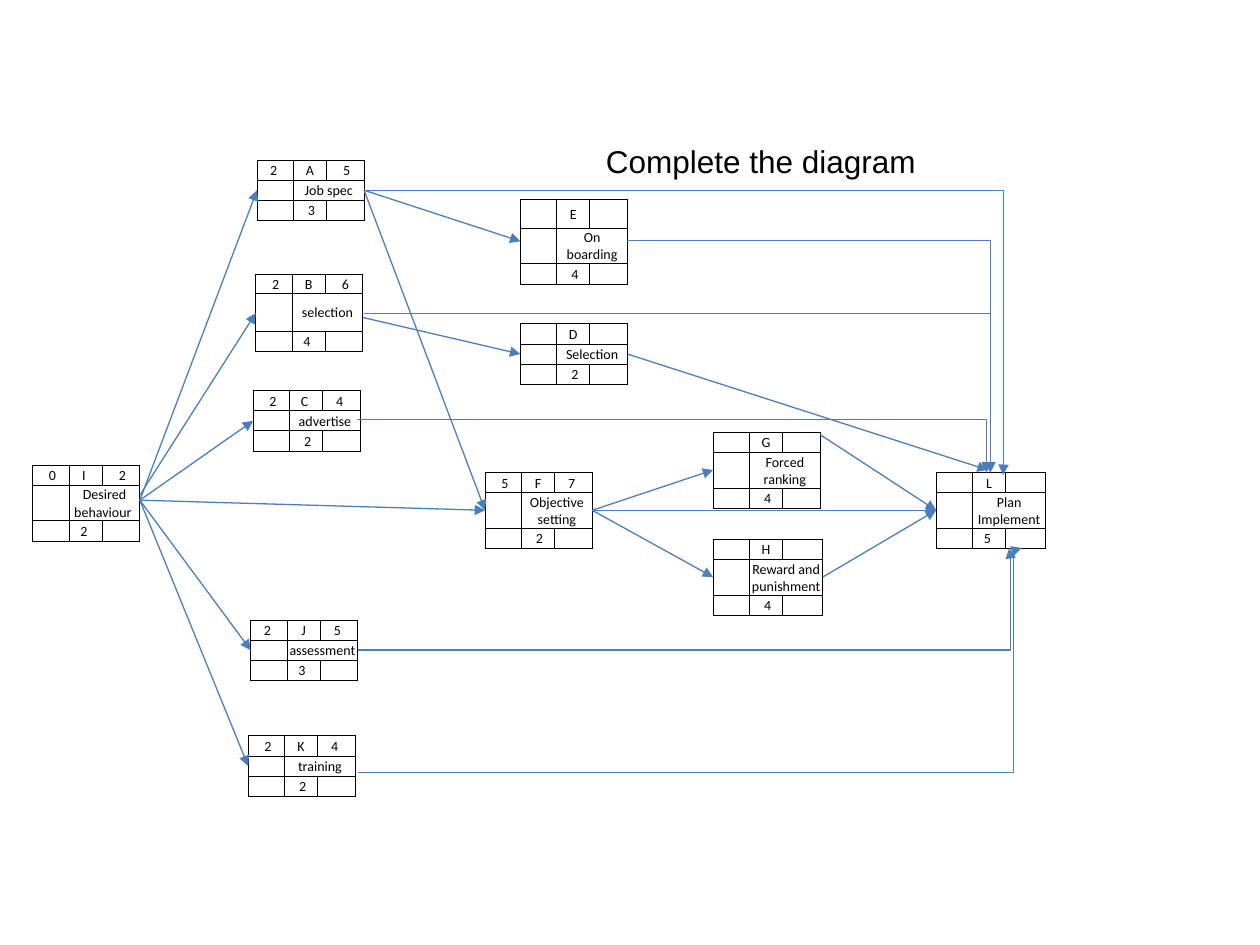
import pptx
import pptx.util
import pptx.dml.color
import pptx.enum.shapes
import pptx.enum.text
import pptx.oxml
import pptx.oxml.ns
from lxml import etree

Inches = pptx.util.Inches
Pt = pptx.util.Pt
qn = pptx.oxml.ns.qn

COLORS = {"text": "000000", "border": "000000", "arrow": "4B7EBC"}
TITLE = "Complete the diagram"

ONE_LINE = (0.16, 0.16, 0.16)
TWO_LINES = (0.16, 0.28, 0.16)
NARROW = (0.29, 0.26, 0.3)
WIDE = (0.29, 0.26, 0.32)

ACTIVITIES = {
    "I": (0.26, 3.69, NARROW, TWO_LINES, (" 0", "I ", " 2"), "Desired behaviour ", "2 "),
    "A": (2.04, 1.27, NARROW, ONE_LINE, ("2 ", "A", " 5"), "Job spec", " 3"),
    "B": (2.03, 2.18, NARROW, (0.15, 0.3, 0.16), (" 2", "B", " 6"), "selection", "4 "),
    "C": (2.01, 3.1, NARROW, ONE_LINE, (" 2", "C ", "4 "), "advertise", " 2"),
    "F": (3.85, 3.75, NARROW, TWO_LINES, (" 5", "F", "7 "), "Objective setting", " 2"),
    "J": (1.99, 4.92, NARROW, ONE_LINE, ("2 ", "J", "5 "), "assessment", "3 "),
    "K": (1.97, 5.84, NARROW, ONE_LINE, (" 2", "K", "4 "), "training", " 2"),
    "H": (5.66, 4.28, WIDE, TWO_LINES, ("", "H", ""), "Reward and punishment", " 4"),
    "G": (5.66, 3.43, NARROW, TWO_LINES, ("", "G", ""), "Forced ranking", " 4"),
    "L": (7.43, 3.75, WIDE, TWO_LINES, ("", "L", ""), "Plan Implement", "5 "),
    "E": (4.13, 1.58, NARROW, (0.23, 0.28, 0.16), ("", "E", ""), "On boarding", " 4"),
    "D": (4.13, 2.57, NARROW, ONE_LINE, ("", "D", ""), "Selection", " 2"),
}

STRAIGHT_LINKS = ["IA", "IB", "IC", "IF", "IJ", "IK", "AF", "FG", "FH",
                  "GL", "HL", "FL", "AE", "BD", "DL"]
EXIT_HEIGHTS = {"I": 3.97, "IB": 3.93, "GL": 3.45, "BD": 2.52}
ENTRY_POINTS = {"DL": (7.84, 3.73)}

BENT_LINKS = [
    ((2.89, 1.51), (7.96, 3.77), 1.001),
    ((2.89, 2.49), (7.86, 3.75), None),
    ((2.83, 3.33), (7.83, 3.75), None),
    ((2.84, 5.16), (8.01, 4.35), 1.002),
    ((2.84, 6.13), (8.11, 4.35), 0.988),
    ((4.98, 1.91), (7.86, 3.75), None),
]


def rgb(name):
    return pptx.dml.color.RGBColor.from_string(COLORS[name])


def add_run(paragraph, text, font, size):
    run = paragraph.add_run()
    run.text = text
    run.font.name = font
    run.font.size = Pt(size)
    run.font.color.rgb = rgb("text")


def format_cell(cell, text):
    cell.margin_left = cell.margin_right = cell.margin_top = Inches(0.01)
    cell.margin_bottom = 0
    cell.vertical_anchor = pptx.enum.text.MSO_ANCHOR.MIDDLE
    paragraph = cell.text_frame.paragraphs[0]
    paragraph.alignment = pptx.enum.text.PP_ALIGN.CENTER
    if text:
        add_run(paragraph, text, "Calibri", 8)
    else:
        etree.SubElement(paragraph._p, qn("a:endParaRPr"), sz="800")
    properties = cell._tc.get_or_add_tcPr()
    for side in ("lnL", "lnR", "lnT", "lnB"):
        border = etree.SubElement(properties, qn("a:" + side), w=str(Pt(0.5)))
        paint = etree.SubElement(border, qn("a:solidFill"))
        etree.SubElement(paint, qn("a:srgbClr"), val=COLORS["border"])
    cell.fill.background()


def add_activity(slide, left, top, widths, heights, header, name, duration):
    table = slide.shapes.add_table(
        3, 3, Inches(left), Inches(top),
        Inches(sum(widths)), Inches(sum(heights))).table
    table.first_row = table.horz_banding = False
    for column, width in zip(table.columns, widths):
        column.width = Inches(width)
    for row, height in zip(table.rows, heights):
        row.height = Inches(height)
    content = (header, ("", name, ""), ("", duration, ""))
    for r, texts in enumerate(content):
        for c, text in enumerate(texts):
            format_cell(table.cell(r, c), text)
    table.cell(1, 1).merge(table.cell(1, 2))


def add_arrow(slide, kind, start, end):
    arrow = slide.shapes.add_connector(kind, *map(Inches, start + end))
    arrow.line.color.rgb = rgb("arrow")
    arrow.line.width = Pt(0.75)
    etree.SubElement(arrow.line._get_or_add_ln(), qn("a:tailEnd"), type="triangle")
    etree.SubElement(arrow.element.spPr, qn("a:effectLst"))
    return arrow


def add_bent_arrow(slide, start, end, bend):
    arrow = add_arrow(slide, pptx.enum.shapes.MSO_CONNECTOR.ELBOW, start, end)
    geometry = arrow.element.spPr.find(qn("a:prstGeom"))
    if bend is None:
        geometry.set("prst", "bentConnector2")
    else:
        guides = geometry.find(qn("a:avLst"))
        etree.SubElement(guides, qn("a:gd"), name="adj1",
                         fmla=f"val {round(bend * 100000)}")


def exit_point(link):
    left, top, widths, heights = ACTIVITIES[link[0]][:4]
    middle = top + sum(heights) / 2
    height = EXIT_HEIGHTS.get(link, EXIT_HEIGHTS.get(link[0], middle))
    return left + sum(widths), height


def entry_point(link):
    left, top, _, heights = ACTIVITIES[link[1]][:4]
    return ENTRY_POINTS.get(link, (left, top + sum(heights) / 2))


def main():
    deck = pptx.Presentation()
    deck.slide_width, deck.slide_height = Inches(10), Inches(7.5)
    slide = deck.slides.add_slide(deck.slide_layouts[6])
    for activity in ACTIVITIES.values():
        add_activity(slide, *activity)
    for link in STRAIGHT_LINKS:
        add_arrow(slide, pptx.enum.shapes.MSO_CONNECTOR.STRAIGHT,
                  exit_point(link), entry_point(link))
    for link in BENT_LINKS:
        add_bent_arrow(slide, *link)
    title = slide.shapes.add_textbox(
        Inches(4.71), Inches(1.08), Inches(4.18), Inches(0.4)).text_frame
    title.word_wrap = True
    title.auto_size = pptx.enum.text.MSO_AUTO_SIZE.SHAPE_TO_FIT_TEXT
    add_run(title.paragraphs[0], TITLE, "Arial", 18)
    deck.save("out.pptx")


if __name__ == "__main__":
    main()
